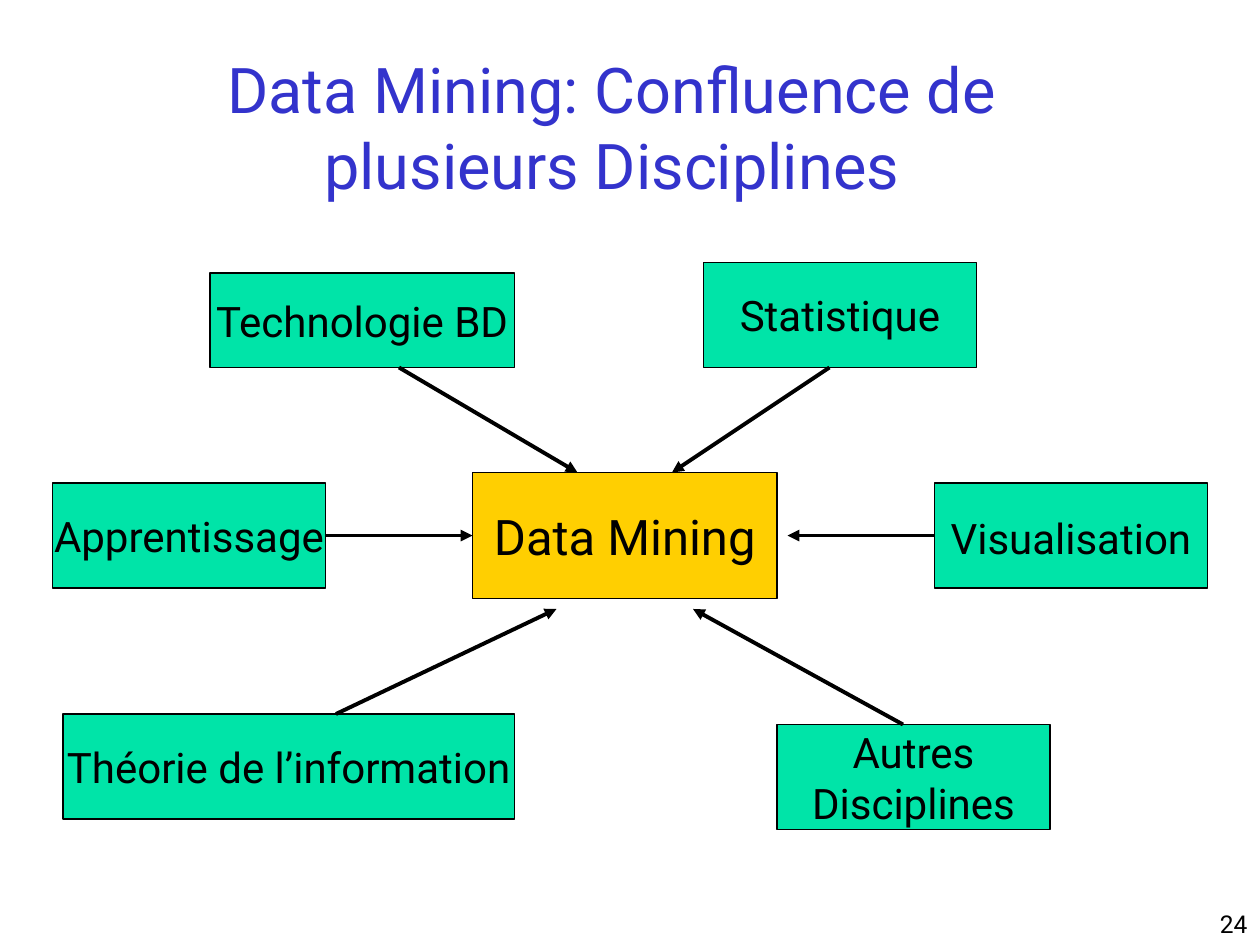
import pptx
import pptx.util
import pptx.dml.color
import pptx.enum.shapes
import pptx.enum.text
import pptx.oxml.ns
from lxml import etree

RGB = pptx.dml.color.RGBColor
BLACK = RGB(0x00, 0x00, 0x00)
BLUE = RGB(0x33, 0x33, 0xCC)
GOLD = RGB(0xFF, 0xCF, 0x01)
GREEN = RGB(0x00, 0xE4, 0xA8)

ALIGN = pptx.enum.text.PP_ALIGN
ANCHOR = pptx.enum.text.MSO_ANCHOR
CELL = pptx.util.Inches(1) / 12  # the slide is 120 columns by 90 rows

# text, box (column, row, columns, rows), arrow start, arrow end, line spacing
DISCIPLINES = [
    ("Technologie BD", (20, 26, 29, 9), (38, 35), (55, 45), None),
    ("Statistique", (67, 25, 26, 10), (79, 35), (64, 45), None),
    ("Autres\nDisciplines", (74, 69, 26, 10), (86, 69), (66, 58), None),
    ("Théorie de l’information", (6, 68, 43, 10), (32, 68), (53, 58), None),
    ("Apprentissage", (5, 46, 26, 10), (31, 51), (45, 51), None),
    ("Visualisation", (89, 46, 26, 10), (89, 51), (75, 51), 1.1),
]


def grid(*cells):
    return [round(cell * CELL) for cell in cells]


def write(frame, text, size, color=BLACK, align=ALIGN.CENTER,
          anchor=ANCHOR.MIDDLE, wrap=True, spacing=None):
    frame.text = text
    frame.word_wrap = wrap
    frame.vertical_anchor = anchor
    font_format = {"name": "Roboto", "size": pptx.util.Pt(size), "bold": False}
    for paragraph in frame.paragraphs:
        paragraph.alignment = align
        paragraph.line_spacing = spacing
        for attribute, value in font_format.items():
            setattr(paragraph.font, attribute, value)
        paragraph.font.color.rgb = color


def add_label(slide, box, text, size, **layout):
    label = slide.shapes.add_textbox(*grid(*box))
    write(label.text_frame, text, size, **layout)


def add_node(slide, box, text, size, fill, spacing=None):
    node = slide.shapes.add_shape(
        pptx.enum.shapes.MSO_SHAPE.RECTANGLE, *grid(*box))
    node.shadow.inherit = False
    node.fill.solid()
    node.fill.fore_color.rgb = fill
    node.line.color.rgb = BLACK
    node.line.width = pptx.util.Pt(0.75)
    write(node.text_frame, text, size, wrap=False, spacing=spacing)


def add_arrow(slide, start, end):
    arrow = slide.shapes.add_connector(
        pptx.enum.shapes.MSO_CONNECTOR.STRAIGHT, *grid(*start, *end))
    arrow.line.color.rgb = BLACK
    arrow.line.width = pptx.util.Pt(2.25)
    qn = pptx.oxml.ns.qn
    properties = arrow.element.spPr
    etree.SubElement(properties.find(qn("a:ln")), qn("a:tailEnd"), type="triangle")
    etree.SubElement(properties, qn("a:effectLst"))


def add_confluence(slide):
    """Place the central topic and the disciplines that point at it."""
    add_node(slide, (45, 45, 29, 12), "Data Mining", 28, GOLD)
    for text, box, start, end, spacing in DISCIPLINES:
        add_node(slide, box, text, 24, GREEN, spacing)
        add_arrow(slide, start, end)


def main():
    deck = pptx.Presentation()
    deck.slide_width, deck.slide_height = grid(120, 90)
    slide = deck.slides.add_slide(deck.slide_layouts[6])
    add_label(slide, (95, 84, 25, 6), "24", 14,
              align=ALIGN.RIGHT, anchor=ANCHOR.BOTTOM)
    add_label(slide, (0, 4, 118, 16),
              "Data Mining: Confluence de \vplusieurs Disciplines ", 36, color=BLUE)
    add_confluence(slide)
    deck.save("out.pptx")


if __name__ == "__main__":
    main()
